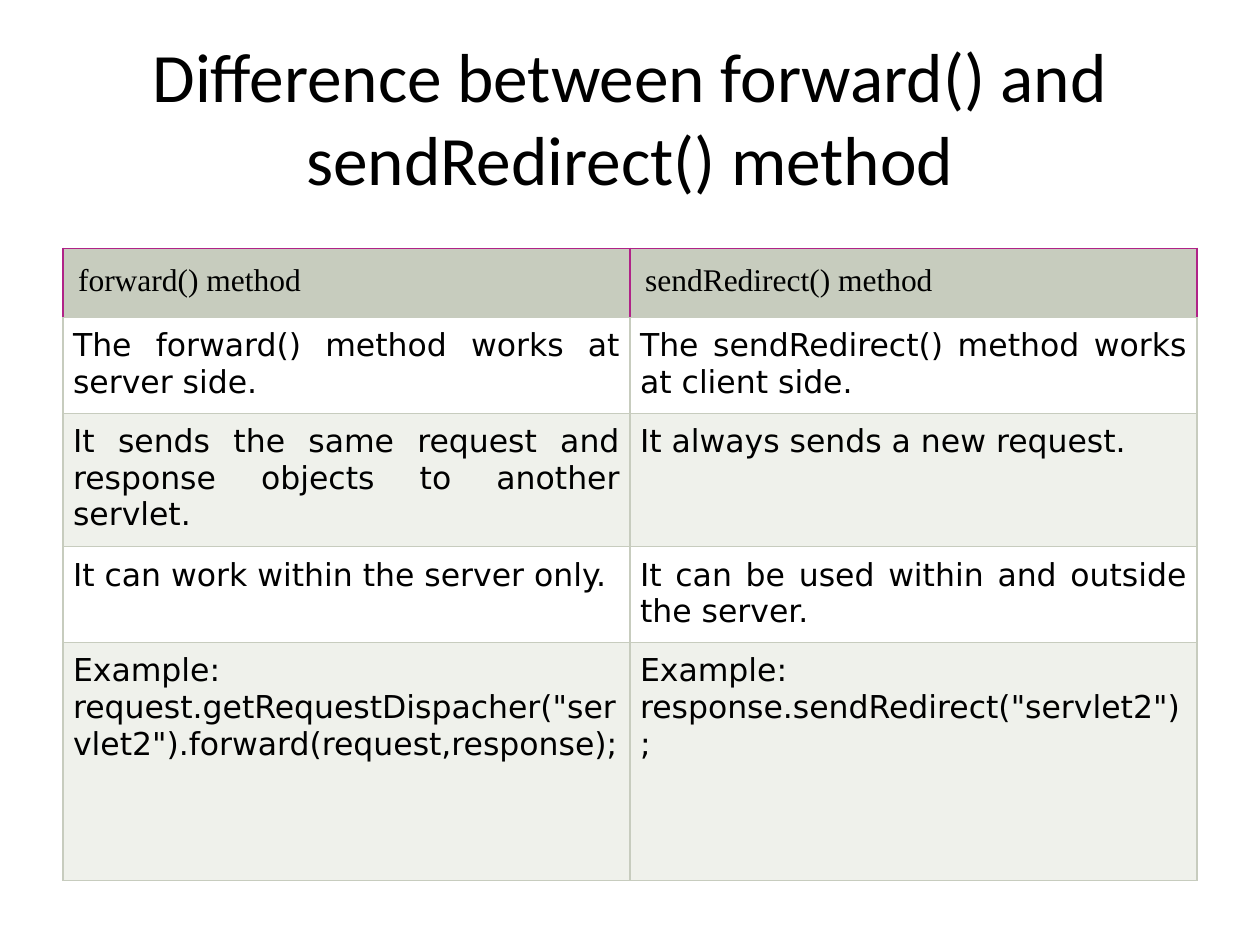
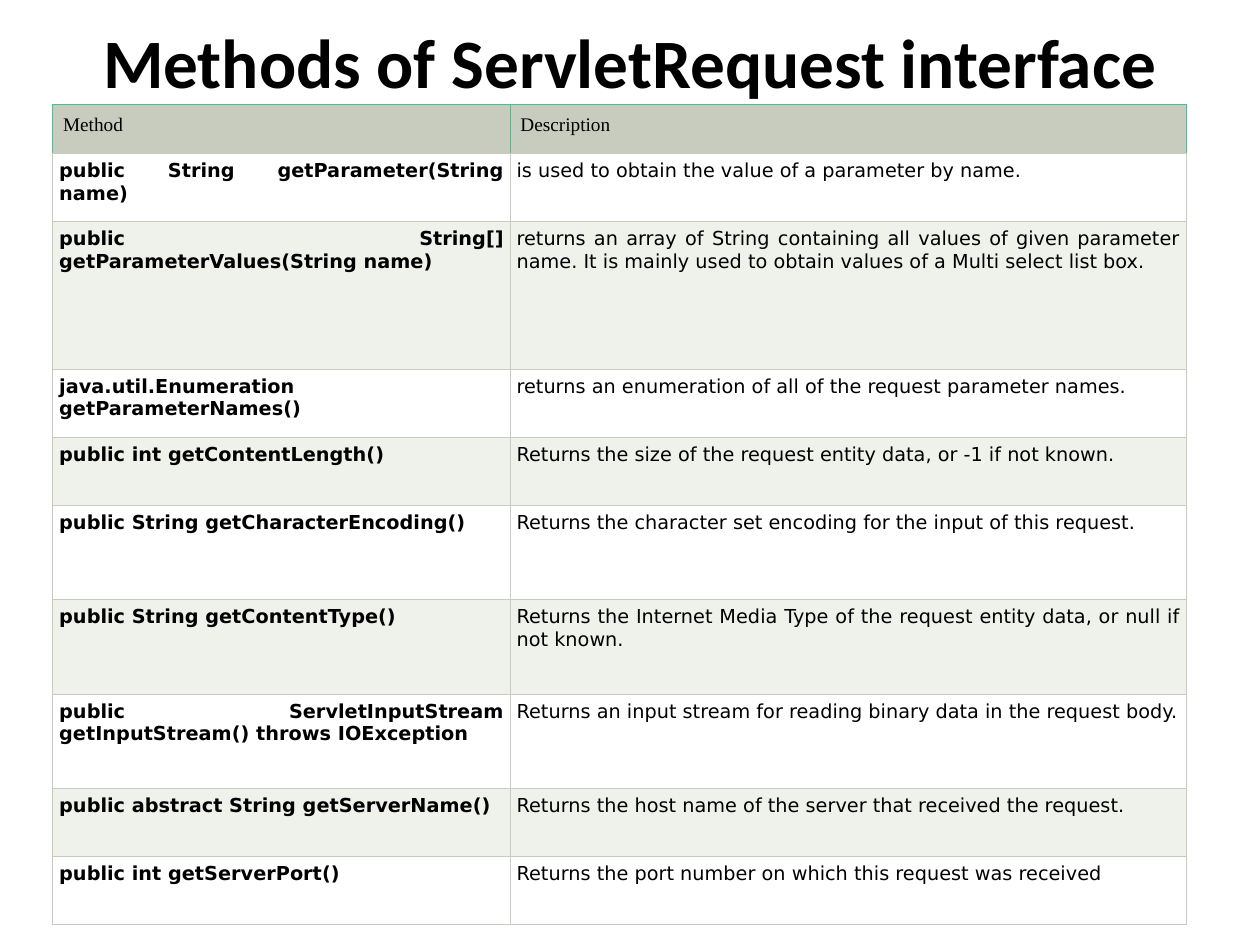
from lxml.etree import SubElement
from pptx import Presentation
from pptx.dml.color import RGBColor
from pptx.enum.text import MSO_ANCHOR, PP_ALIGN
from pptx.oxml.ns import qn
from pptx.util import Inches, Pt

INK, HEAD, PLAIN, BAND = "000000", "C7CCBE", "FFFFFF", "EFF1EB"
TITLE_FONT, HEAD_FONT, BODY_FONT = "Calibri", "Times New Roman", "DejaVu Sans"

SEND_ROWS = [
    ("forward() method", "sendRedirect() method"),
    ("The forward() method works at server side.",
     "The sendRedirect() method works at client side."),
    ("It sends the same request and response objects to another servlet.",
     "It always sends a new request."),
    ("It can work within the server only.",
     "It can be used within and outside the server."),
    ('Example: request.getRequestDispacher("servlet2").forward(request,response);',
     'Example: response.sendRedirect("servlet2");'),
]
METHOD_ROWS = [
    ("Method", "Description"),
    ("public String getParameter(String name)",
     "is used to obtain the value of a parameter by name."),
    ("public String[] getParameterValues(String name)",
     "returns an array of String containing all values of given parameter name. "
     "It is mainly used to obtain values of a Multi select list box."),
    ("java.util.Enumeration getParameterNames()",
     "returns an enumeration of all of the request parameter names."),
    ("public int getContentLength()",
     "Returns the size of the request entity data, or -1 if not known."),
    ("public String getCharacterEncoding()",
     "Returns the character set encoding for the input of this request."),
    ("public String getContentType()",
     "Returns the Internet Media Type of the request entity data, or null if not known."),
    ("public ServletInputStream getInputStream() throws IOException",
     "Returns an input stream for reading binary data in the request body."),
    ("public abstract String getServerName()",
     "Returns the host name of the server that received the request."),
    ("public int getServerPort()",
     "Returns the port number on which this request was received"),
]


def color(code):
    """Turn a hex string into a colour."""
    return RGBColor.from_string(code)


def write(frame, text, font, size, align, bold=False):
    """Write one styled run into the first paragraph of a frame."""
    para = frame.paragraphs[0]
    para.alignment = align
    run = para.add_run()
    run.text = text
    run.font.name, run.font.size, run.font.bold = font, Pt(size), bold
    run.font.color.rgb = color(INK)


def add_title(slide, box, text, bold=False):
    """Place a centred title in the given box."""
    frame = slide.shapes.add_textbox(*map(Inches, box)).text_frame
    frame.word_wrap = True
    frame.vertical_anchor = MSO_ANCHOR.MIDDLE
    write(frame, text, TITLE_FONT, 39.6, PP_ALIGN.CENTER, bold)


def set_edges(cell, trim):
    """Rule a cell in the trim colour, with a plain bottom edge."""
    props = cell._tc.get_or_add_tcPr()
    for side in "LRTB":
        line = SubElement(props, qn(f"a:ln{side}"), w=str(Pt(0.75)))
        fill = SubElement(line, qn("a:solidFill"))
        SubElement(fill, qn("a:srgbClr"), val=HEAD if side == "B" else trim)


def set_cell(cell, pad, trim, shade):
    """Set the margins, edges and fill of a cell."""
    cell.margin_left = cell.margin_right = Inches(pad)
    cell.margin_top = cell.margin_bottom = Inches(pad)
    set_edges(cell, trim)
    cell.fill.solid()
    cell.fill.fore_color.rgb = color(shade)


def add_grid(slide, spot, widths, heights, rows, size, trim, pads, bold=False):
    """Build a banded table with a trimmed header row."""
    box = (*spot, sum(widths), sum(heights))
    grid = slide.shapes.add_table(len(rows), len(widths), *map(Inches, box)).table
    grid.first_row = grid.horz_banding = False
    for col, width in zip(grid.columns, widths):
        col.width = Inches(width)
    for row, height in zip(grid.rows, heights):
        row.height = Inches(height)
    for r, texts in enumerate(rows):
        for c, text in enumerate(texts):
            cell = grid.cell(r, c)
            if r == 0:
                set_cell(cell, pads[0], trim, HEAD)
                write(cell.text_frame, text, HEAD_FONT, size, PP_ALIGN.LEFT)
            else:
                set_cell(cell, pads[1], HEAD, PLAIN if r % 2 else BAND)
                write(cell.text_frame, text, BODY_FONT, size, PP_ALIGN.JUSTIFY,
                      bold and c == 0)


def send_slide(slide):
    """Compare forward() with sendRedirect()."""
    add_title(slide, (0.5, 0.3, 9, 1.25),
              "Difference between forward() and sendRedirect() method")
    add_grid(slide, (0.5, 1.97), (4.5, 4.5), (0.55, 0.76, 1.06, 0.76, 1.89),
             SEND_ROWS, 18, "B02287", (0.12, 0.08))


def method_slide(slide):
    """List the methods of ServletRequest."""
    add_title(slide, (0.5, 0.3, 9, 0.37), "Methods of ServletRequest interface", True)
    heights = (0.39, 0.54, 1.17, 0.54, 0.54, 0.75, 0.75, 0.75, 0.54, 0.54)
    add_grid(slide, (0.42, 0.83), (3.63, 5.37), heights,
             METHOD_ROWS, 11, "40C68A", (0.08, 0.05), True)


def main():
    """Build and save the deck."""
    deck = Presentation()
    deck.slide_width, deck.slide_height = Inches(10), Inches(7.5)
    for build in (send_slide, method_slide):
        build(deck.slides.add_slide(deck.slide_layouts[6]))
    deck.save("out.pptx")


if __name__ == "__main__":
    main()
